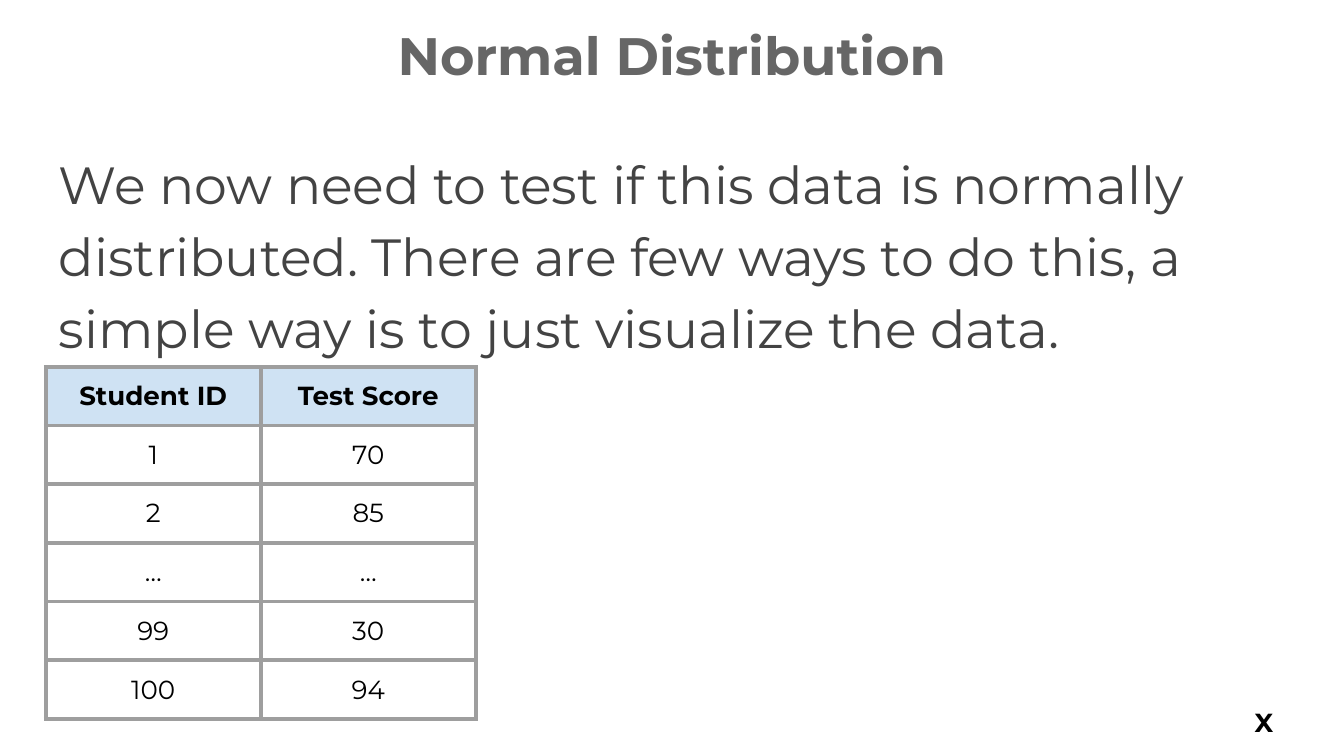
from pptx import Presentation
from pptx.dml.color import RGBColor
from pptx.enum.text import MSO_ANCHOR as Anchor, PP_ALIGN as Align
from pptx.oxml import parse_xml
from pptx.oxml.ns import nsdecls
from pptx.util import Inches, Pt

FONT = "Montserrat"
BLACK = RGBColor(0x00, 0x00, 0x00)
TITLE_GRAY = RGBColor(0x66, 0x66, 0x66)
BODY_GRAY = RGBColor(0x43, 0x43, 0x43)
HEADER_BLUE = RGBColor(0xCF, 0xE2, 0xF3)
BORDER_GRAY = RGBColor(0x9E, 0x9E, 0x9E)

TITLE = "Normal Distribution"
BODY = ("We now need to test if this data is normally distributed. There are few "
        "ways to do this, a simple way is to just visualize the data.")
CORNER_MARK = "X"
SCORES = [
    ("Student ID", "Test Score"),
    ("1", "70"),
    ("2", "85"),
    ("…", "…"),
    ("99", "30"),
    ("100", "94"),
]

LEFT, WIDTH, INSET = 0.34, 9.32, 0.1
TABLE_TOP, TABLE_WIDTH, TABLE_HEIGHT = 2.73, 3.2, 2.62
BORDER_WIDTH = Pt(2.25)


def set_margins(target):
    target.margin_left = target.margin_right = Inches(INSET)
    target.margin_top = target.margin_bottom = Inches(INSET)


def write_paragraph(frame, text, size, color, bold, align):
    para = frame.paragraphs[0]
    para.text = text
    para.alignment = align
    para.font.name = FONT
    para.font.size = Pt(size)
    para.font.bold = bold
    para.font.color.rgb = color
    return para


def write(frame, text, size, color, bold=False, align=Align.CENTER, anchor=Anchor.TOP):
    frame.word_wrap = True
    frame.vertical_anchor = anchor
    set_margins(frame)
    return write_paragraph(frame, text, size, color, bold, align)


def add_borders(cell):
    properties = cell._tc.get_or_add_tcPr()
    for index, side in enumerate(("lnL", "lnR", "lnT", "lnB")):
        properties.insert(index, parse_xml(
            f'<a:{side} {nsdecls("a")} w="{BORDER_WIDTH}"><a:solidFill>'
            f'<a:srgbClr val="{BORDER_GRAY}"/></a:solidFill></a:{side}>'))


def add_scores(page):
    table = page.shapes.add_table(
        len(SCORES), len(SCORES[0]), Inches(LEFT), Inches(TABLE_TOP),
        Inches(TABLE_WIDTH), Inches(TABLE_HEIGHT)).table
    for row, values in enumerate(SCORES):
        for column, value in enumerate(values):
            cell = table.cell(row, column)
            header = row == 0
            if header:
                cell.fill.solid()
                cell.fill.fore_color.rgb = HEADER_BLUE
            else:
                cell.fill.background()
            cell.vertical_anchor = Anchor.MIDDLE
            set_margins(cell)
            write_paragraph(cell.text_frame, value, 14, BLACK, header, Align.CENTER)
            add_borders(cell)


def main():
    deck = Presentation()
    deck.slide_width = Inches(10)
    deck.slide_height = deck.slide_width * 9 // 16
    page = deck.slides.add_slide(deck.slide_layouts[5])

    title = page.shapes.title
    title.left, title.top = Inches(LEFT), Inches(0.07)
    title.width, title.height = Inches(WIDTH), Inches(0.63)
    write(title.text_frame, TITLE, 28.2, TITLE_GRAY, bold=True)

    body = page.shapes.add_textbox(Inches(LEFT), Inches(0.96), Inches(WIDTH), Inches(2.49))
    para = write(body.text_frame, BODY, 28, BODY_GRAY, align=Align.LEFT)
    para.line_spacing = 1.15
    para.space_after = Pt(12)

    mark = page.shapes.add_textbox(Inches(9.19), Inches(5.17), Inches(0.43), Inches(0.4))
    write(mark.text_frame, CORNER_MARK, 14, BLACK, bold=True, anchor=Anchor.MIDDLE)

    add_scores(page)
    deck.save("out.pptx")


if __name__ == "__main__":
    main()
